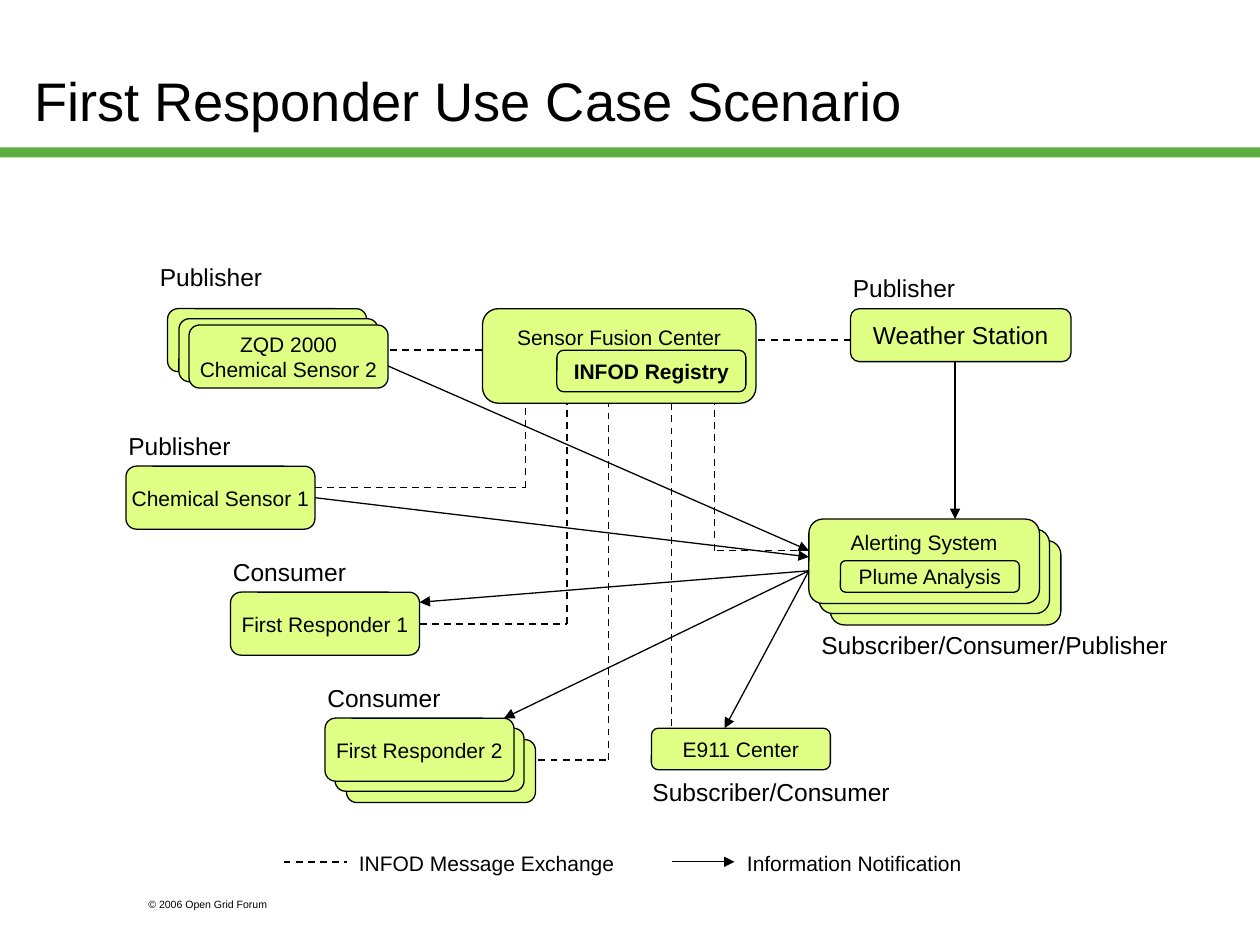
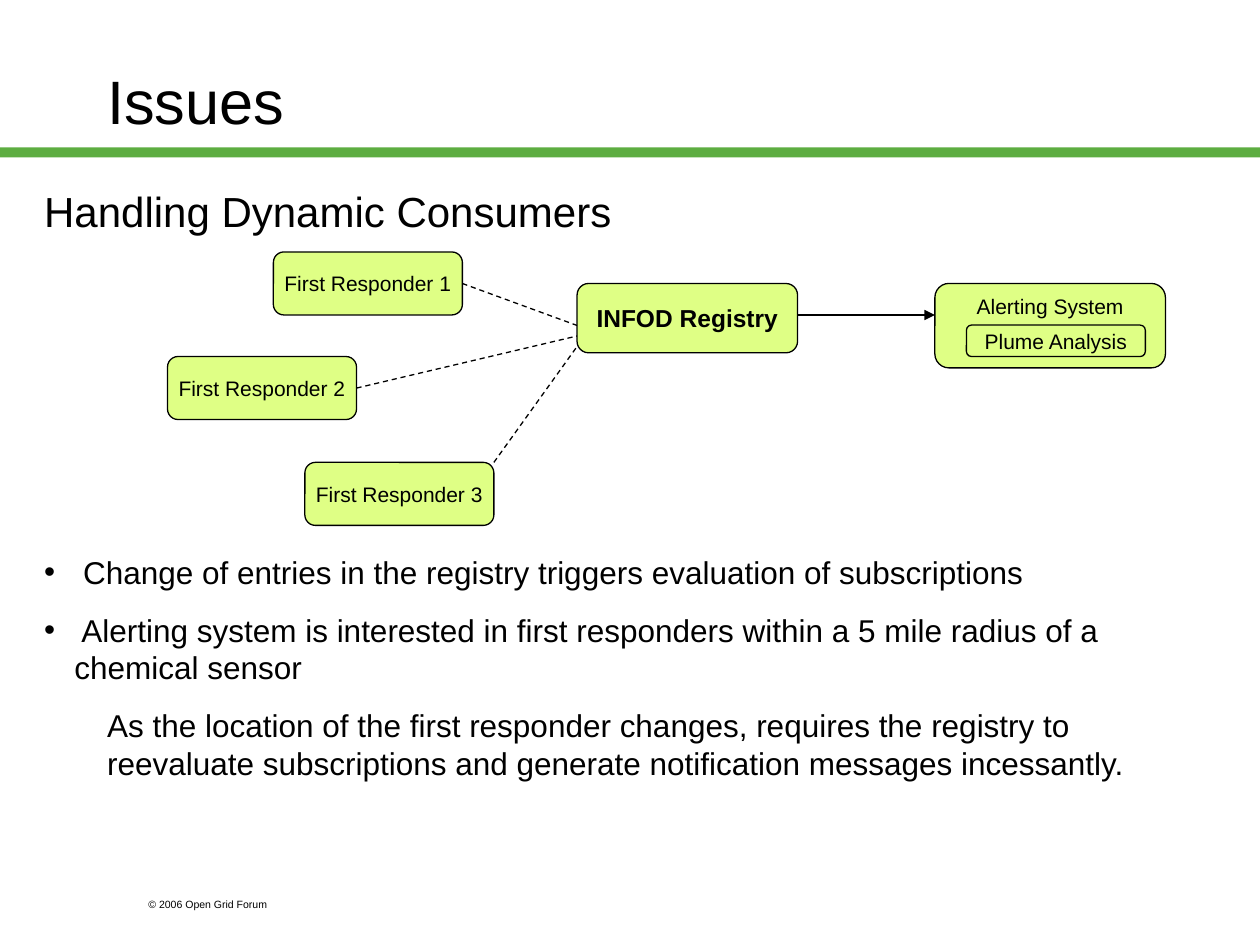
from dataclasses import dataclass
from itertools import pairwise

from lxml import etree
from pptx import Presentation
from pptx import util as u
from pptx.dml import color
from pptx.enum import dml, shapes, text
from pptx.oxml import ns


@dataclass(frozen=True)
class Theme:
    font: str = "Arial"
    ink: color.RGBColor = color.RGBColor.from_string("000000")
    band: color.RGBColor = color.RGBColor.from_string("5DAD41")
    box: color.RGBColor = color.RGBColor.from_string("DFFF85")
    title: int = 31
    big_title: int = 35
    heading: int = 24
    bullet: int = 18
    label: int = 14
    node: int = 12
    footer: int = 6
    thin: float = 0.75
    thick: float = 1


class Deck:
    TITLE_ONLY = 5
    TWO_CONTENT = 3

    def __init__(self, theme):
        self.theme = theme
        self.prs = Presentation()
        self.prs.slide_width, self.prs.slide_height = u.Inches(10), u.Inches(7.5)
        self.s = None

    def new_slide(self, layout):
        self.s = self.prs.slides.add_slide(self.prs.slide_layouts[layout])
        band = self.shape(shapes.MSO_SHAPE.RECTANGLE, 0, 1.17, 10, 0.08, self.theme.band)
        band.line.fill.background()
        self.label("© 2006 Open Grid Forum", 1.08, 7.08, 1.5, 0.2, self.theme.footer)

    def run(self, p, words, size, bold=False):
        r = p.add_run()
        r.text = words
        r.font.name, r.font.size, r.font.bold = self.theme.font, u.Pt(size), bold
        r.font.color.rgb = self.theme.ink

    def frame(self, sp, anchor, wrap=True):
        tf = sp.text_frame
        tf.word_wrap = wrap
        tf.auto_size = text.MSO_AUTO_SIZE.NONE
        tf.vertical_anchor = anchor
        tf.margin_left = tf.margin_right = u.Inches(0.1)
        tf.margin_top = tf.margin_bottom = u.Inches(0.05)
        return tf

    def place(self, sp, left, top, width, height):
        sp.left, sp.top = u.Inches(left), u.Inches(top)
        sp.width, sp.height = u.Inches(width), u.Inches(height)

    def title(self, words, left, size):
        sp = self.s.shapes.title
        self.place(sp, left, 0.17, 8.5, 1.25)
        p = self.frame(sp, text.MSO_ANCHOR.MIDDLE).paragraphs[0]
        p.alignment = text.PP_ALIGN.LEFT
        self.run(p, words, size)

    def body(self, idx, items, left, top, width, height, size, gap=0):
        sp = self.s.placeholders[idx]
        self.place(sp, left, top, width, height)
        tf = self.frame(sp, text.MSO_ANCHOR.TOP)
        for i, (words, margin, hang, bullet) in enumerate(items):
            p = tf.add_paragraph() if i else tf.paragraphs[0]
            pPr = p._p.get_or_add_pPr()
            pPr.set("marL", str(u.Inches(margin)))
            pPr.set("indent", str(u.Inches(-hang)))
            mark = etree.SubElement(pPr, ns.qn("a:buChar" if bullet else "a:buNone"))
            if bullet:
                mark.set("char", bullet)
            p.space_before = u.Pt(gap if i else 0)
            self.run(p, words, size)

    def label(self, words, left, top, width, height=0.34, size=None):
        sp = self.s.shapes.add_textbox(*map(u.Inches, (left, top, width, height)))
        p = self.frame(sp, text.MSO_ANCHOR.TOP).paragraphs[0]
        self.run(p, words, size or self.theme.label)

    def shape(self, kind, left, top, width, height, fill):
        sp = self.s.shapes.add_shape(kind, *map(u.Inches, (left, top, width, height)))
        sp.shadow.inherit = False
        sp.fill.solid()
        sp.fill.fore_color.rgb = fill
        sp.line.color.rgb = self.theme.ink
        sp.line.width = u.Pt(self.theme.thin)
        return sp

    def box(self, lines, left, top, width, height, size=None, bold=False, top_inset=None):
        sp = self.shape(shapes.MSO_SHAPE.ROUNDED_RECTANGLE, left, top, width, height,
                        self.theme.box)
        tf = self.frame(sp, text.MSO_ANCHOR.MIDDLE, wrap=False)
        if top_inset is not None:
            tf.vertical_anchor = text.MSO_ANCHOR.TOP
            tf.margin_top = u.Inches(top_inset)
        for i, words in enumerate(lines):
            p = tf.add_paragraph() if i else tf.paragraphs[0]
            p.alignment = text.PP_ALIGN.CENTER
            self.run(p, words, size or self.theme.node, bold)
        return sp

    def stack(self, lines, left, top, width, height, offsets, **style):
        for dx, dy in offsets:
            self.box([], left + dx, top + dy, width, height)
        return self.box(lines, left, top, width, height, **style)

    def alerting_system(self, left, top, offsets=()):
        self.stack(["Alerting System"], left, top, 1.83, 0.67, offsets, top_inset=0.05)
        self.box(["Plume Analysis"], left + 0.25, top + 0.33, 1.42, 0.25)

    def line(self, *points, width, dash=False, arrow=False, start=None):
        for i, (a, b) in enumerate(pairwise(points)):
            c = self.s.shapes.add_connector(shapes.MSO_CONNECTOR.STRAIGHT,
                                            *map(u.Inches, a + b))
            if start is not None and i == 0:
                c.begin_connect(start, 3)
            c.line.color.rgb = self.theme.ink
            c.line.width = u.Pt(width)
            if dash:
                c.line.dash_style = dml.MSO_LINE.DASH
            if arrow:
                end = etree.SubElement(c.line._get_or_add_ln(), ns.qn("a:tailEnd"))
                end.set("type", "triangle")
            etree.SubElement(c._element.spPr, ns.qn("a:effectLst"))

    def exchange(self, *points, start=None):
        self.line(*points, width=self.theme.thick, dash=True, start=start)

    def notify(self, *points, start=None):
        self.line(*points, width=self.theme.thin, arrow=True, start=start)


def scenario(d):
    d.new_slide(Deck.TITLE_ONLY)
    d.title("First Responder Use Case Scenario", 0.17, d.theme.title)

    d.exchange((4.08, 6.03), (4.83, 6.03), (4.83, 3.2))
    d.exchange((3, 2.78), (3.83, 2.78))
    d.notify((3, 2.87), (6.42, 4.37))

    behind = [(0.17, 0.17), (0.08, 0.08)]
    d.stack(["ZQD 2000", "Chemical Sensor 2"], 1.5, 2.58, 1.58, 0.5,
            [(-0.17, -0.13), (-0.08, -0.05)])
    d.box(["Weather Station"], 6.75, 2.45, 1.75, 0.42, size=d.theme.label)
    d.box(["Sensor Fusion Center"], 3.83, 2.45, 2.17, 0.75, top_inset=0.09)
    d.box(["INFOD Registry"], 4.42, 2.78, 1.5, 0.33, bold=True)
    sensor = d.box(["Chemical Sensor 1"], 1, 3.7, 1.5, 0.5)
    responder = d.box(["First Responder 1"], 1.83, 4.7, 1.5, 0.5)
    d.stack(["First Responder 2"], 2.58, 5.7, 1.5, 0.5, behind)
    d.box(["E911 Center"], 5.17, 5.78, 1.42, 0.33)
    d.alerting_system(6.42, 4.12, behind)

    for role, left, top, width in [
        ("Publisher", 1.17, 2.03, 1.08),
        ("Publisher", 6.67, 2.12, 1.08),
        ("Publisher", 0.92, 3.37, 1.17),
        ("Consumer", 1.75, 4.37, 1.17),
        ("Consumer", 2.5, 5.37, 1.17),
        ("Subscriber/Consumer/Publisher", 6.42, 4.95, 3.08),
        ("Subscriber/Consumer", 5.08, 6.12, 2.1),
    ]:
        d.label(role, left, top, width)

    d.exchange((6.75, 2.7), (6, 2.7))
    d.exchange((5.33, 3.2), (5.33, 5.78))
    d.exchange((2.5, 3.87), (4.17, 3.87), (4.17, 3.2))
    d.exchange((3.33, 4.95), (4.5, 4.95), (4.5, 3.2), start=responder)
    d.exchange((6.42, 4.37), (5.67, 4.37), (5.67, 3.2))

    d.notify((7.58, 2.87), (7.58, 4.12))
    d.notify((2.5, 3.95), (6.42, 4.42), start=sensor)
    for target in [(3.33, 4.78), (4, 5.7), (5.75, 5.78)]:
        d.notify((6.42, 4.53), target)

    for draw, meaning, left in [(d.exchange, "INFOD Message Exchange", 2.25),
                                (d.notify, "Information Notification", 5.33)]:
        draw((left, 6.84), (left + 0.5, 6.84))
        d.label(meaning, left + 0.5, 6.7, 2.42, 0.3, d.theme.node)


def issues(d):
    d.new_slide(Deck.TWO_CONTENT)
    d.title("Issues", 0.75, d.theme.big_title)
    d.body(1, [("Handling Dynamic Consumers", 0.38, 0.38, None)],
           0.25, 1.42, 8.25, 0.67, d.theme.heading)

    d.box(["INFOD Registry"], 4.58, 2.25, 1.75, 0.55, size=d.theme.label, bold=True)
    for n, (left, top) in enumerate([(2.17, 2), (1.33, 2.83), (2.42, 3.67)], 1):
        responder = d.box([f"First Responder {n}"], left, top, 1.5, 0.5)
        at_corner = n == 3
        d.line((left + 1.5, top if at_corner else top + 0.25), (4.58, 2.5 + n / 12),
               width=d.theme.thin, dash=True, start=None if at_corner else responder)
    d.alerting_system(7.42, 2.25)
    d.notify((6.33, 2.5), (7.42, 2.5))

    d.body(2, [
        (" Change of entries in the registry triggers evaluation of subscriptions",
         0.24, 0.24, "•"),
        (" Alerting system is interested in first responders within a 5 mile radius "
         "of a chemical sensor", 0.24, 0.24, "•"),
        ("As the location of the first responder changes, requires the registry to "
         "reevaluate subscriptions and generate notification messages incessantly.",
         0.5, 0, None),
    ], 0.25, 4.34, 9.37, 1.92, d.theme.bullet, gap=11.2)


def main():
    d = Deck(Theme())
    scenario(d)
    issues(d)
    d.prs.save("out.pptx")


if __name__ == "__main__":
    main()
